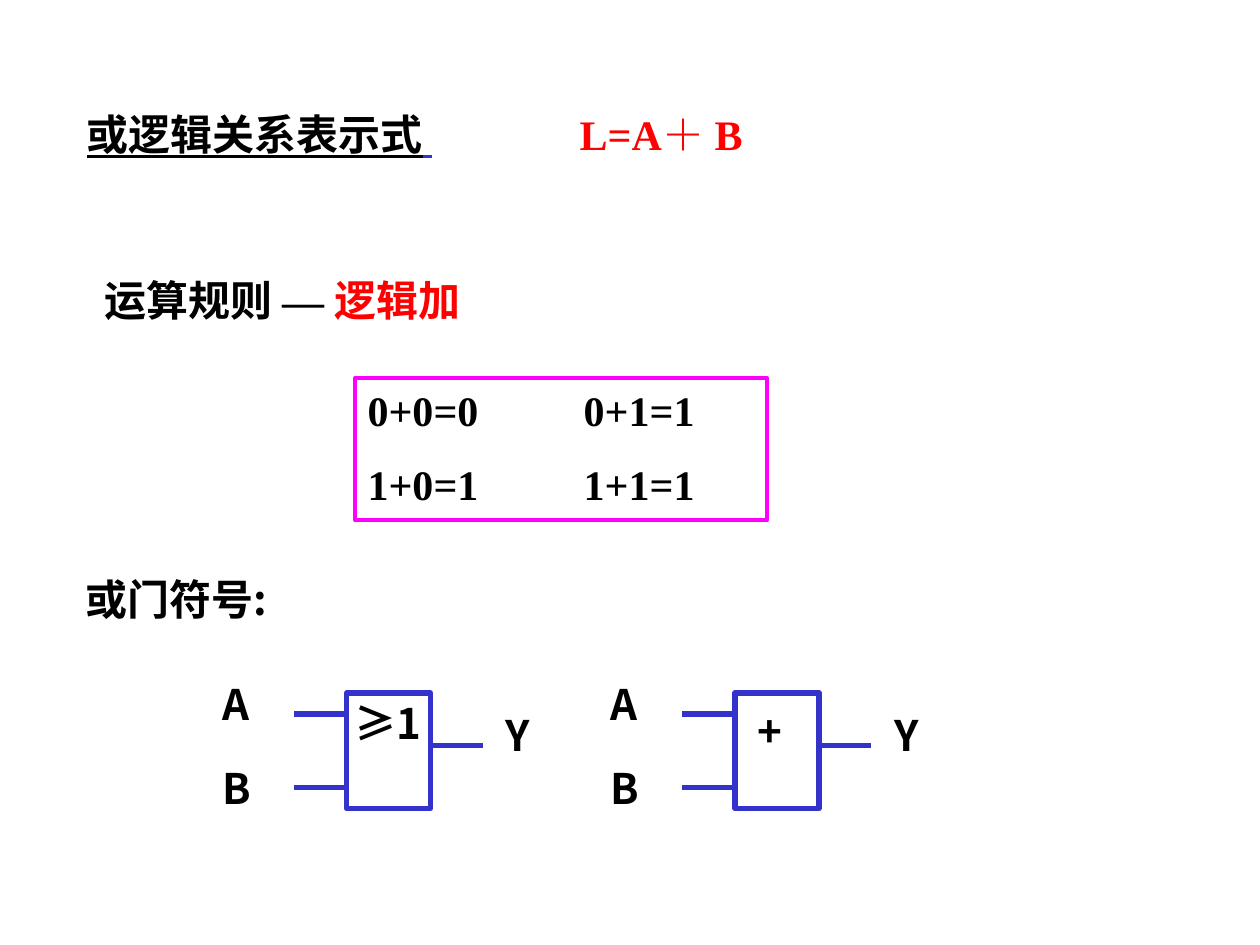
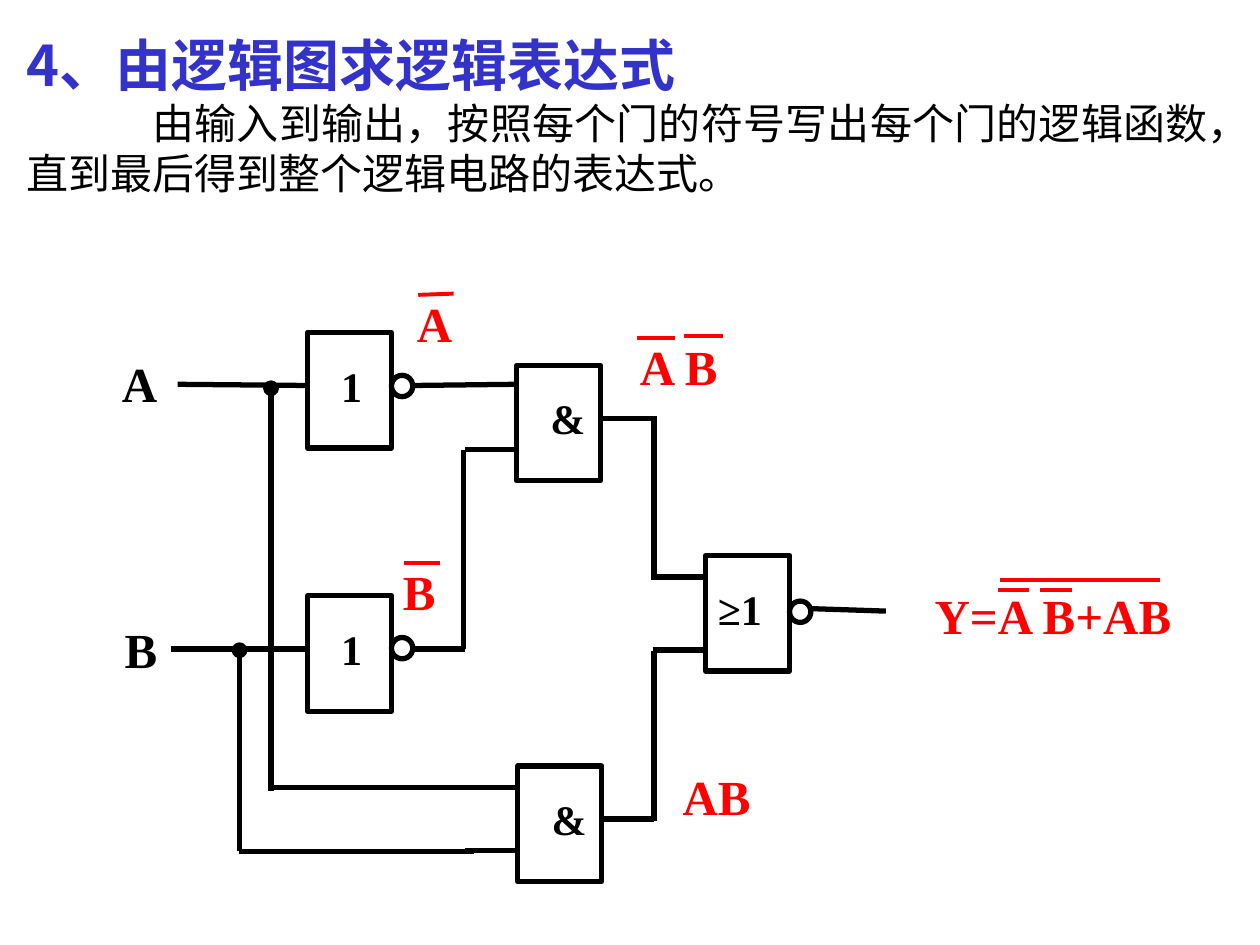
"""Build two slides on the OR gate and on reading an expression from a logic diagram."""
import pptx
import pptx.dml.color
import pptx.enum.shapes
import pptx.enum.text
import pptx.oxml.ns
import pptx.util
import lxml.etree

Pt = pptx.util.Pt
SHAPES = pptx.enum.shapes.MSO_SHAPE
ALIGN = pptx.enum.text.PP_ALIGN
ANCHOR = pptx.enum.text.MSO_ANCHOR

SANS, SERIF = "Noto Sans CJK SC", "Times New Roman"
BLACK, WHITE, RED, BLUE, MAGENTA = "000000", "FFFFFF", "FF0000", "3333CC", "FF00FF"
GATE_SIZE = (48, 66)
BUBBLE, DOT = 12.2, 6
LINE_HEIGHT = {24: 36, 28: 41}

OR_STATEMENTS = [
    (52.6, 153.4, 276, [("运算规则 ", {}), ("— ", {"font": SERIF}), ("逻辑加", {"color": RED})]),
    (42.5, 58.3, 219.6, [("或逻辑关系表示式", {"underline": True}),
                         (" ", {"underline": True, "color": BLUE})]),
    (324.2, 58.3, 132, [("L=A＋ B", {"font": SERIF, "color": RED})]),
    (41.8, 324, 246, [("或门符号:", {})]),
]
OR_RULES = ["0+0=0\t0+1=1", "1+0=1\t1+1=1"]
OR_RULES_BOX = (203, 216, 235.4, 81.4)
OR_RULES_TAB = 123.5

OR_SYMBOLS = [
    (198, "≥1", -2.2, -0.7, 66),
    (420, "+", 6, 3.6, 42),
]
OR_TOP = 396
OR_PINS = [("A", -78, -12, 54), ("B", -78, 36, 36), ("Y", 84, 6, 36)]
OR_WIRES = [(48, 30, 78, 30), (-30, 54, 0, 54), (-30, 12, 0, 12)]

DIAGRAM_TITLE = "4、由逻辑图求逻辑表达式"
DIAGRAM_METHOD = "由输入到输出，按照每个门的符号写出每个门的逻辑函数，直到最后得到整个逻辑电路的表达式。"
DIAGRAM_TEXT_BOX = (7.9, 13.7, 689.8, 103)

DIAGRAM_GATES = [
    (175.7, 340.5, "1", 12.2, 24, 23.8),
    (295.2, 208.8, "&", 12.2, 48, None),
    (295.9, 437.8, "&", 12.2, 48, None),
    (175.7, 190, "1", 12.2, 24, 24.5),
    (403.2, 317.5, "≥1", 0, 66, 26),
]
SYMBOL_DROP = 12.2
DIAGRAM_WIRES = [
    (101.5, 219.6, 176.4, 220.3), (97.9, 370.8, 175.7, 370.8),
    (154.8, 221, 154.8, 452.2), (154.8, 450, 270.7, 450), (265.7, 450, 295.9, 450),
    (136.8, 371.5, 136.8, 486), (136.8, 486.7, 270.7, 486.7), (265.7, 486, 295.9, 486),
    (235.4, 220.3, 294.5, 219.6), (235.4, 370.8, 265.7, 370.8),
    (265, 257, 265, 370.8), (265.7, 257, 295.2, 257),
    (343.4, 239, 373.7, 239), (373.7, 237.6, 373.7, 331.2), (373, 329.8, 403.2, 329.8),
    (344.2, 468, 373.7, 468), (373.7, 372.2, 373.7, 469.4), (373, 371.5, 403.2, 371.5),
    (463, 347.8, 506.2, 349.2),
]
DIAGRAM_DOTS = [(151.9, 218.9), (133.9, 368.6)]
DIAGRAM_LABELS = [
    ("A", 62.6, 198.7, 42.5, BLACK),
    ("B", 64.1, 350.6, 44.6, BLACK),
    ("A", 231.1, 164.2, 50.4, RED),
    ("B", 223.2, 317.5, 50.4, RED),
    ("A B", 358.6, 188.6, 64.8, RED),
    ("AB", 383, 434.2, 59, RED),
    ("Y=A B+AB", 527, 331.2, 170.6, RED),
]
OVERLINES = [
    (239, 168.5, 259.2, 167.8), (231.1, 321.8, 251.3, 321.8),
    (364.3, 193, 385.9, 193), (391, 192.2, 413.3, 192.2),
    (570.2, 337, 588.2, 337), (594, 337, 612.7, 337), (571.7, 331.2, 663.1, 331.2),
]


def rgb(value):
    return pptx.dml.color.RGBColor.from_string(value)


def add_run(paragraph, text, size=24, font=SANS, east_font=None, color=BLACK,
            bold=True, underline=False):
    run = paragraph.add_run()
    run.text = text
    run.font.size = Pt(size)
    run.font.name = font
    run.font.bold = bold
    run.font.underline = underline
    run.font.color.rgb = rgb(color)
    east = lxml.etree.Element(pptx.oxml.ns.qn("a:ea"), typeface=east_font or font)
    run.font._element.find(pptx.oxml.ns.qn("a:latin")).addnext(east)


def prepare_frame(shape, anchor=ANCHOR.TOP):
    frame = shape.text_frame
    frame.word_wrap = True
    frame.auto_size = pptx.enum.text.MSO_AUTO_SIZE.SHAPE_TO_FIT_TEXT
    frame.vertical_anchor = anchor
    return frame


def add_label(slide, text, left, top, width, size=24, **style):
    height = LINE_HEIGHT[size]
    box = slide.shapes.add_textbox(Pt(left), Pt(top), Pt(width), Pt(height))
    paragraph = prepare_frame(box).paragraphs[0]
    runs = [(text, {})] if isinstance(text, str) else text
    for run_text, changes in runs:
        add_run(paragraph, run_text, size=size, **{**style, **changes})


def add_outline(slide, kind, box, color, line_width=3, fill=WHITE):
    shape = slide.shapes.add_shape(kind, *map(Pt, box))
    shape.shadow.inherit = False
    if fill:
        shape.fill.solid()
        shape.fill.fore_color.rgb = rgb(fill)
    else:
        shape.fill.background()
    shape.line.color.rgb = rgb(color)
    shape.line.width = Pt(line_width)
    return shape


def add_wire(slide, ends, color, line_width=3):
    wire = slide.shapes.add_connector(pptx.enum.shapes.MSO_CONNECTOR.STRAIGHT, *map(Pt, ends))
    wire.line.color.rgb = rgb(color)
    wire.line.width = Pt(line_width)
    lxml.etree.SubElement(wire._element.spPr, pptx.oxml.ns.qn("a:effectLst"))


def add_rules(slide):
    box = add_outline(slide, SHAPES.RECTANGLE, OR_RULES_BOX, MAGENTA, 2.25, fill=None)
    frame = prepare_frame(box)
    for index, rule in enumerate(OR_RULES):
        paragraph = frame.add_paragraph() if index else frame.paragraphs[0]
        properties = paragraph._p.get_or_add_pPr()
        tabs = lxml.etree.SubElement(properties, pptx.oxml.ns.qn("a:tabLst"))
        lxml.etree.SubElement(tabs, pptx.oxml.ns.qn("a:tab"),
                              pos=str(Pt(OR_RULES_TAB)), algn="l")
        paragraph.alignment = ALIGN.LEFT
        if index:
            paragraph.space_before = Pt(13.5)
        add_run(paragraph, rule, font=SERIF)


def build_or_slide(slide):
    for left, top, width, runs in OR_STATEMENTS:
        add_label(slide, runs, left, top, width)
    add_rules(slide)
    for left, symbol, symbol_dx, symbol_dy, symbol_width in OR_SYMBOLS:
        for pin, dx, dy, width in OR_PINS:
            add_label(slide, pin, left + dx, OR_TOP + dy, width)
        add_outline(slide, SHAPES.RECTANGLE, (left, OR_TOP, *GATE_SIZE), BLUE)
        for x1, y1, x2, y2 in OR_WIRES:
            add_wire(slide, (left + x1, OR_TOP + y1, left + x2, OR_TOP + y2), BLUE)
        add_label(slide, symbol, left + symbol_dx, OR_TOP + symbol_dy, symbol_width)


def build_diagram_slide(slide):
    for ends in DIAGRAM_WIRES:
        add_wire(slide, ends, BLACK)
    for left, top, symbol, inset, width, bubble_drop in DIAGRAM_GATES:
        add_outline(slide, SHAPES.RECTANGLE, (left, top, *GATE_SIZE), BLACK)
        if bubble_drop:
            bubble_box = (left + GATE_SIZE[0], top + bubble_drop, BUBBLE, BUBBLE)
            add_outline(slide, SHAPES.OVAL, bubble_box, BLACK)
        add_label(slide, symbol, left + inset, top + SYMBOL_DROP, width, font=SERIF)
    for left, top in DIAGRAM_DOTS:
        add_outline(slide, SHAPES.OVAL, (left, top, DOT, DOT), BLACK, fill=BLACK)
    for text, left, top, width, color in DIAGRAM_LABELS:
        add_label(slide, text, left, top, width, size=28, font=SERIF, color=color)
    for ends in OVERLINES:
        add_wire(slide, ends, RED, 2.25)

    frame = prepare_frame(slide.shapes.add_textbox(*map(Pt, DIAGRAM_TEXT_BOX)), ANCHOR.MIDDLE)
    add_run(frame.paragraphs[0], DIAGRAM_TITLE, size=32, color=BLUE)
    method = frame.add_paragraph()
    method.alignment = ALIGN.JUSTIFY
    method._p.get_or_add_pPr().set("indent", str(Pt(72)))
    add_run(method, DIAGRAM_METHOD, font=SERIF, east_font=SANS, bold=False)


def main():
    presentation = pptx.Presentation()
    presentation.slide_width, presentation.slide_height = Pt(720), Pt(540)
    for build in (build_or_slide, build_diagram_slide):
        build(presentation.slides.add_slide(presentation.slide_layouts[6]))
    presentation.save("out.pptx")


if __name__ == "__main__":
    main()
